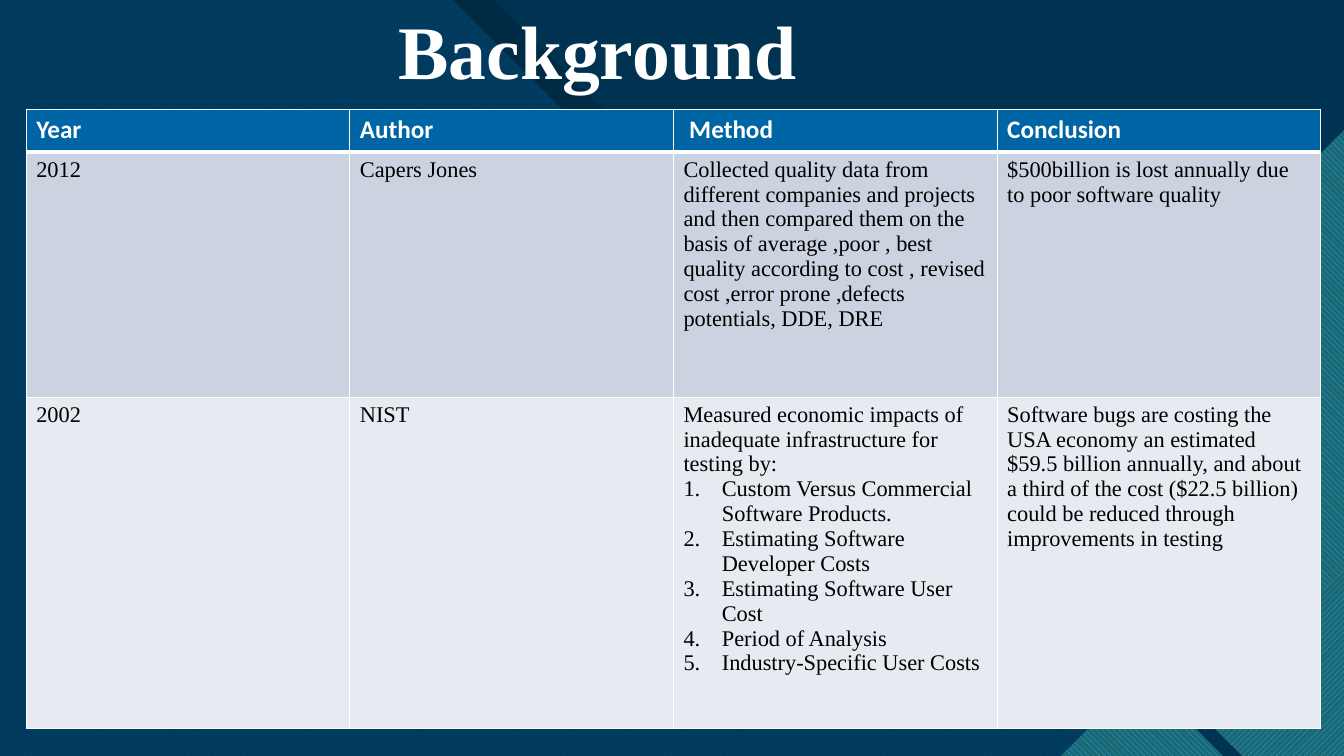
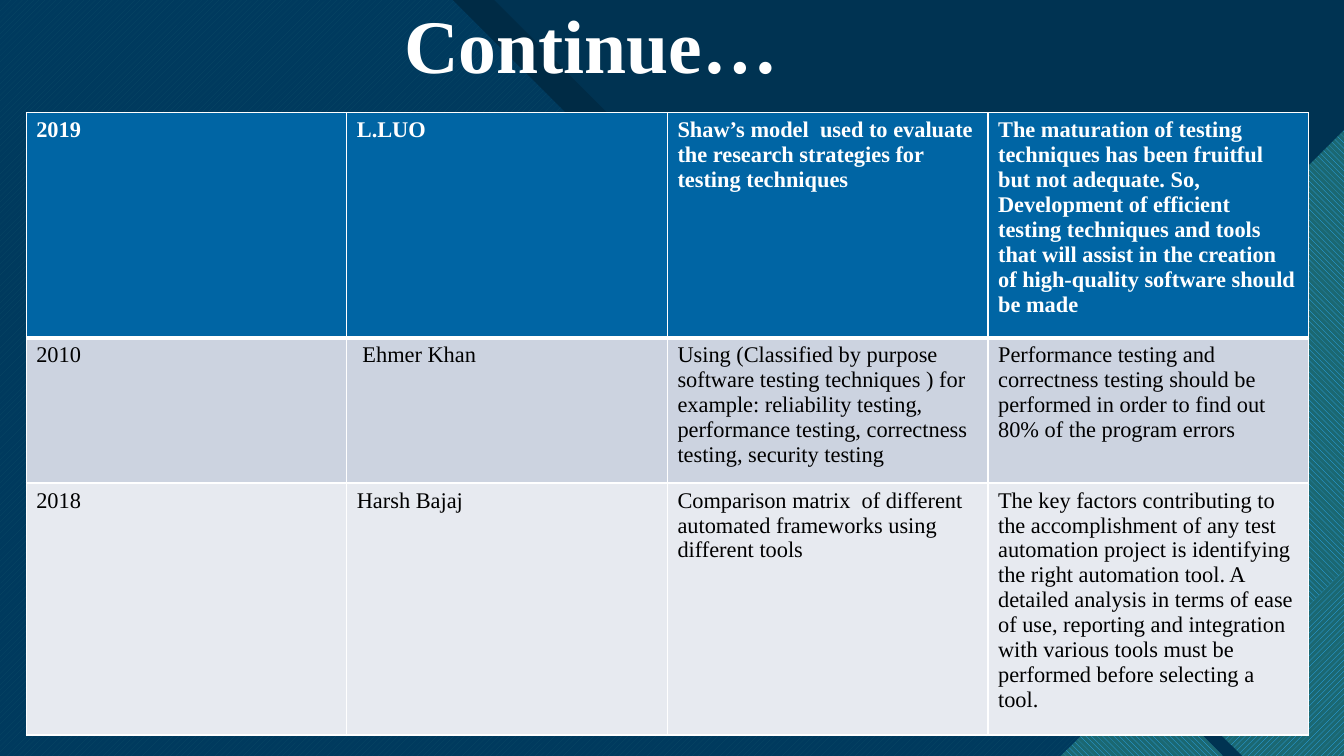
import pptx
import pptx.dml.color
import pptx.enum.dml
import pptx.enum.text
import pptx.oxml
import pptx.oxml.ns
import pptx.util
from dataclasses import dataclass

Inches, Pt = pptx.util.Inches, pptx.util.Pt
RGB = pptx.dml.color.RGBColor.from_string
ALIGN = pptx.enum.text.PP_ALIGN
ANCHOR = pptx.enum.text.MSO_ANCHOR
PATTERN = pptx.enum.dml.MSO_PATTERN
qn = pptx.oxml.ns.qn


@dataclass(frozen=True)
class Theme:
    navy: str = "003352"
    black: str = "000000"
    blue: str = "0065A4"
    sky: str = "2FAFFF"
    aqua: str = "47C3D3"
    teal: str = "1B6872"
    white: str = "FFFFFF"
    bands: tuple = ("CCD3E0", "E7EAF0")
    serif: str = "Times New Roman"
    sans: str = "Calibri"
    number: str = "Roboto"
    title_pt: int = 54
    head_pt: int = 18
    body_pt: int = 16
    number_pt: int = 10
    rule_pt: int = 1
    head_rule_pt: int = 3


T = Theme()
UP, DOWN = PATTERN.WIDE_UPWARD_DIAGONAL, PATTERN.WIDE_DOWNWARD_DIAGONAL

# Outline points in inches, colour, then optional opacity or (pattern, back colour)
BACKDROP = [
    ([(0.42, 0), (4.9, 0), (7.88, 2.97), (9.14, 2.97), (13.33, 7.17),
      (13.33, 7.5), (0.42, 7.5)], T.black, {}),
    ([(0, 0), (4.49, 0), (7.46, 2.97), (8.72, 2.97), (13.25, 7.5), (0, 7.5)],
     T.aqua, {"pattern": UP, "back": T.blue}),
    ([(0, 0), (6.95, 0), (9.92, 2.97), (11.18, 2.97), (13.33, 5.13),
      (13.33, 7.5), (0, 7.5)], T.navy, {"opacity": 85}),
    ([(13.33, 1.55), (13.33, 7.08), (12.2, 7.08), (10, 4.88)], T.navy, {}),
    ([(13.33, 1.29), (13.33, 7.37), (13.05, 7.37), (10.15, 4.47)],
     T.sky, {"pattern": DOWN, "back": T.teal}),
    ([(13.33, 6.14), (13.33, 7.5), (11.97, 7.5)], T.navy, {}),
    ([(13.33, 5.66), (13.33, 7.5), (11.49, 7.5)],
     T.sky, {"pattern": UP, "back": T.teal}),
    ([(12.32, 7.5), (11.5, 6.69), (10.69, 7.5)], T.navy, {}),
    ([(10.52, 7.5), (11.33, 6.7), (12.13, 7.5)],
     T.sky, {"pattern": DOWN, "back": T.teal}),
]

# A cell is a string, or a lead line followed by numbered items
SLIDES = [
    {
        "title": "Background",
        "title_at": (1.62, 0.06, 8.61, 0.94),
        "align": ALIGN.CENTER,
        "table_at": (0.26, 1.09),
        "col": 3.21,
        "row_heights": (0.42, 2.43, 3.29),
        "head": (T.sans, T.head_pt),
        "rows": [
            ["Year", "Author", " Method", "Conclusion"],
            ["2012", "Capers Jones",
             "Collected quality data from different companies and projects and then "
             "compared them on the basis of average ,poor , best quality according to "
             "cost , revised cost ,error prone ,defects potentials, DDE, DRE",
             "$500billion is lost annually due to poor software quality"],
            ["2002", "NIST",
             ["Measured economic impacts of inadequate infrastructure for testing by:",
              "Custom Versus Commercial Software Products.",
              "Estimating Software Developer Costs",
              "Estimating Software User Cost",
              "Period of Analysis",
              "Industry-Specific User Costs"],
             "Software bugs are costing the USA economy an estimated $59.5 billion "
             "annually, and about a third of the cost ($22.5 billion) could be reduced "
             "through improvements in testing"],
        ],
    },
    {
        "title": "Continue…",
        "title_at": (3.91, 0, 8.51, 0.94),
        "align": ALIGN.LEFT,
        "table_at": (0.26, 1.12),
        "col": 3.18,
        "row_heights": (1.98, 1.44, 2.25),
        "head": (T.serif, T.body_pt),
        "number": "4",
        "rows": [
            ["2019", "L.LUO",
             "Shaw’s model  used to evaluate the research strategies for testing techniques",
             "The maturation of testing techniques has been fruitful but not adequate. "
             "So, Development of efficient testing techniques and tools that will assist "
             "in the creation of high-quality software should be made"],
            ["2010", " Ehmer Khan",
             "Using (Classified by purpose software testing techniques ) for example: "
             "reliability testing, performance testing, correctness testing, security testing",
             "Performance testing and correctness testing should be performed in order "
             "to find out 80% of the program errors"],
            ["2018", "Harsh Bajaj",
             "Comparison matrix  of different automated frameworks using different tools",
             "The key factors contributing to the accomplishment of any test automation "
             "project is identifying the right automation tool. A detailed analysis in "
             "terms of ease of use, reporting and integration with various tools must be "
             "performed before selecting a tool."],
        ],
    },
]


def assign(obj, values):
    for name, value in values.items():
        setattr(obj, name, value)


def write(p, text, font, size, color, bold=False):
    r = p.add_run()
    r.text = text
    assign(r.font, {"name": font, "size": Pt(size), "bold": bold})
    r.font.color.rgb = RGB(color)


def place(sp, box):
    assign(sp, dict(zip(("left", "top", "width", "height"), map(Inches, box))))


def sub(parent, tag, **attrs):
    el = pptx.oxml.parse_xml(f'<{tag} {pptx.oxml.ns.nsdecls("a")}/>')
    for name, value in attrs.items():
        el.set(name, str(value))
    parent.append(el)
    return el


def draw_outline(shapes, points, color, pattern=None, back=None, opacity=None):
    pts = [(Inches(x), Inches(y)) for x, y in points]
    builder = shapes.build_freeform(*pts[0])
    builder.add_line_segments(pts[1:], close=True)
    sp = builder.convert_to_shape()
    sp.shadow.inherit = False
    sp.line.fill.background()
    if pattern:
        sp.fill.patterned()
        sp.fill.pattern = pattern
        sp.fill.back_color.rgb = RGB(back)
    else:
        sp.fill.solid()
    sp.fill.fore_color.rgb = RGB(color)
    if opacity:
        rgb = sp.element.spPr.find(qn("a:solidFill")).find(qn("a:srgbClr"))
        sub(rgb, "a:alpha", val=opacity * 1000)
    return sp


def set_backdrop(layout, slide):
    """Draw the backdrop on a slide, then move it behind the layout's placeholders."""
    layout.background.fill.solid()
    layout.background.fill.fore_color.rgb = RGB(T.navy)
    for i, (points, color, options) in enumerate(BACKDROP):
        el = draw_outline(slide.shapes, points, color, **options).element
        el.nvSpPr.cNvPr.set("id", str(100 + i))
        layout.shapes.element.insert(2 + i, el)


def add_title(slide, text, box, align):
    sp = slide.shapes.title
    place(sp, box)
    tf = sp.text_frame
    assign(tf, {"vertical_anchor": ANCHOR.BOTTOM, "word_wrap": True,
                "auto_size": pptx.enum.text.MSO_AUTO_SIZE.NONE})
    p = tf.paragraphs[0]
    assign(p, {"alignment": align, "line_spacing": 0.9})
    write(p, text, T.serif, T.title_pt, T.white, True)


def add_borders(cell, bottom):
    tcPr = cell._tc.get_or_add_tcPr()
    for side in "LRTB":
        width = bottom if side == "B" else T.rule_pt
        ln = sub(tcPr, f"a:ln{side}", w=Pt(width))
        sub(sub(ln, "a:solidFill"), "a:srgbClr", val=T.white)


def fill_cell(cell, content, fill, style, bottom):
    lines = [content] if isinstance(content, str) else content
    tf = cell.text_frame
    for i, line in enumerate(lines):
        p = tf.add_paragraph() if i else tf.paragraphs[0]
        if i:
            indent = Inches(0.38)
            pPr = p._p.get_or_add_pPr()
            assign(pPr, {})
            pPr.set("marL", str(indent))
            pPr.set("indent", str(-indent))
            sub(pPr, "a:buFont", typeface="+mj-lt")
            sub(pPr, "a:buAutoNum", type="arabicPeriod")
        write(p, line, *style)
    add_borders(cell, bottom)
    cell.fill.solid()
    cell.fill.fore_color.rgb = RGB(fill)


def add_table(slide, at, col, row_heights, rows, head):
    n = len(rows[0])
    box = (*at, col * n, sum(row_heights))
    table = slide.shapes.add_table(len(rows), n, *map(Inches, box)).table
    for column in table.columns:
        column.width = Inches(col)
    for i, (row, height) in enumerate(zip(rows, row_heights)):
        table.rows[i].height = Inches(height)
        if i:
            fill, bottom = T.bands[(i - 1) % 2], T.rule_pt
            style = (T.serif, T.body_pt, T.black)
        else:
            fill, bottom = T.blue, T.head_rule_pt
            style = (*head, T.white, True)
        for j, content in enumerate(row):
            fill_cell(table.cell(i, j), content, fill, style, bottom)


def add_number(slide, text):
    box = (12.31, 6.91, 0.44, 0.4)
    tf = slide.shapes.add_textbox(*map(Inches, box)).text_frame
    assign(tf, {"word_wrap": True, "vertical_anchor": ANCHOR.MIDDLE})
    p = tf.paragraphs[0]
    p.alignment = ALIGN.RIGHT
    write(p, text, T.number, T.number_pt, T.white)


def main():
    prs = pptx.Presentation()
    assign(prs, {"slide_width": Inches(13.33), "slide_height": Inches(7.5)})
    layout = prs.slide_layouts.get_by_name("Title Only")
    for i, s in enumerate(SLIDES):
        slide = prs.slides.add_slide(layout)
        if i == 0:
            set_backdrop(layout, slide)
        add_title(slide, s["title"], s["title_at"], s["align"])
        if "number" in s:
            add_number(slide, s["number"])
        add_table(slide, s["table_at"], s["col"], s["row_heights"], s["rows"], s["head"])
    prs.save("out.pptx")


if __name__ == "__main__":
    main()
